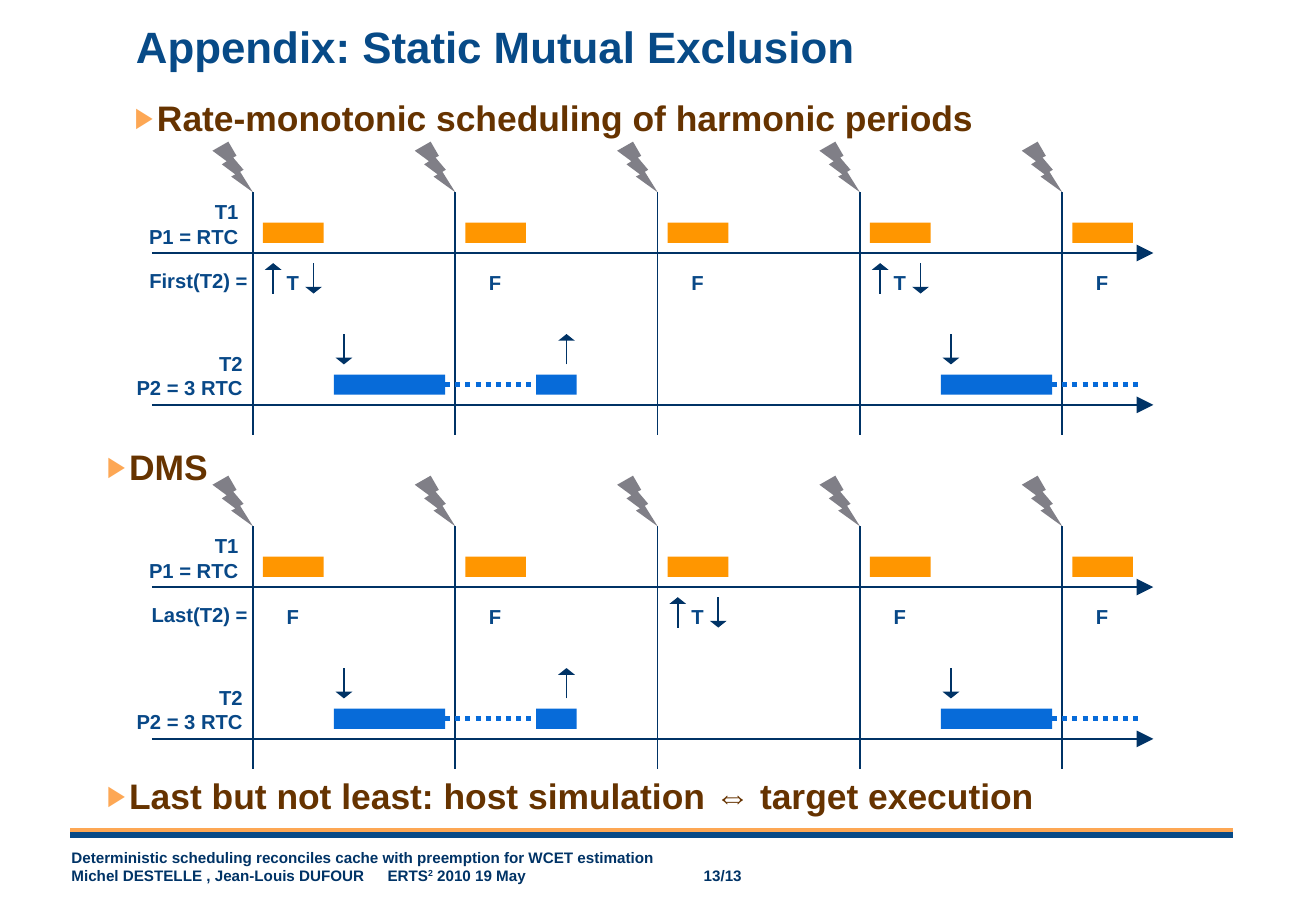
from lxml import etree
from pptx import Presentation
from pptx.dml.color import RGBColor
from pptx.enum.dml import MSO_LINE
from pptx.enum.shapes import MSO_CONNECTOR, MSO_SHAPE
from pptx.enum.text import MSO_ANCHOR, PP_ALIGN
from pptx.oxml.ns import qn
from pptx.util import Pt

STRAIGHT = MSO_CONNECTOR.STRAIGHT
RECTANGLE, BOLT = MSO_SHAPE.RECTANGLE, MSO_SHAPE.LIGHTNING_BOLT
LEFT, RIGHT = PP_ALIGN.LEFT, PP_ALIGN.RIGHT
TOP, MIDDLE = MSO_ANCHOR.TOP, MSO_ANCHOR.MIDDLE
DOTTED = MSO_LINE.ROUND_DOT

COLORS = {
    "title": "074A87", "heading": "663300", "accent": "FDA754", "ink": "003366",
    "label": "084887", "task1": "FF9600", "task2": "076BD9", "bolt": "807F87",
}
FONT = "Arial"

TITLE = "Appendix: Static Mutual Exclusion"
HEADINGS = [
    ("Rate-monotonic scheduling of harmonic periods", 53.5, 60),
    ("DMS", 260.5, 43.5),
    ("Last but not least: host simulation ⇔ target execution", 455.5, 43.5),
]
FOOTER = [
    [("Deterministic scheduling reconciles cache with preemption for WCET estimation", False)],
    [("Michel DESTELLE , Jean-Louis DUFOUR\tERTS", False), ("2", True),
     (" 2010 19 May\t13/13", False)],
]
FOOTER_TABS = (187.5, 375)
FOOTER_RULES = [(494.6, "title", 4.5), (491.8, "accent", 2.25)]

TIMELINES = [(84, "First(T2) =", "TFFTF"), (282, "Last(T2) =", "FFTFF")]
TASK_LABELS = [(["T1", "P1 = RTC"], 150, 30), (["T2", "P2 = 3 RTC"], 152.6, 120)]
FIRST_TICK, PERIOD = 150, 120
AXIS_START, AXIS_END = 90, 684
AXIS_OFFSETS = (66, 156)
TASK2_BARS = [(198, 66), (558, 66), (318, 24)]
TASK2_EVENTS = [(204, "down"), (336, "up"), (564, "down")]

deck = Presentation()
deck.slide_width, deck.slide_height = Pt(780.48), Pt(540)
slide = deck.slides.add_slide(deck.slide_layouts[6])
shapes = slide.shapes


def rgb(name):
    return RGBColor.from_string(COLORS[name])


def add_text(paragraphs, left, top, width, height, size, color,
             align=LEFT, anchor=TOP, insets=(7.2, 3.6, 7.2, 3.6)):
    """Add a bold text box from lists of (text, superscript) runs."""
    box = shapes.add_textbox(Pt(left), Pt(top), Pt(width), Pt(height))
    frame = box.text_frame
    frame.word_wrap, frame.vertical_anchor = True, anchor
    (frame.margin_left, frame.margin_top,
     frame.margin_right, frame.margin_bottom) = map(Pt, insets)
    for index, runs in enumerate(paragraphs):
        paragraph = frame.add_paragraph() if index else frame.paragraphs[0]
        paragraph.alignment = align
        for text, superscript in runs:
            run = paragraph.add_run()
            run.text = text
            run.font.name, run.font.size, run.font.bold = FONT, Pt(size), True
            run.font.color.rgb = rgb(color)
            if superscript:
                run.font._element.set("baseline", "30000")
    return frame.paragraphs


def add_label(lines, right, top, width, height):
    add_text([[(line, False)] for line in lines], right - width, top, width, height,
             12, "label", RIGHT, insets=(0, 4.32, 8.64, 4.32))


def add_heading(text, top, indent):
    paragraph = add_text([[(text, False)]], 26, top, 705, 39, 21, "heading")[0]
    properties = paragraph._p.get_or_add_pPr()
    properties.set("marL", str(Pt(indent)))
    properties.set("indent", str(-Pt(13.2)))
    bullet_color = etree.SubElement(properties, qn("a:buClr"))
    etree.SubElement(bullet_color, qn("a:srgbClr"), val=COLORS["accent"])
    etree.SubElement(properties, qn("a:buSzPct"), val="80000")
    etree.SubElement(properties, qn("a:buFont"), typeface=FONT)
    etree.SubElement(properties, qn("a:buChar"), char="▶")


def add_line(x1, y1, x2, y2, color="ink", width=1, head_length=None):
    line = shapes.add_connector(STRAIGHT, Pt(x1), Pt(y1), Pt(x2), Pt(y2))
    line.line.color.rgb, line.line.width = rgb(color), Pt(width)
    if head_length:
        etree.SubElement(line.line._get_or_add_ln(), qn("a:tailEnd"),
                         type="triangle", w="lg", len=head_length)
    etree.SubElement(line._element.spPr, qn("a:effectLst"))
    return line


def add_event(x, top, direction):
    start, end = (top, top + 18) if direction == "down" else (top + 18, top)
    add_line(x, start, x, end, head_length="sm")


def add_block(kind, left, top, width, height, color):
    block = shapes.add_shape(kind, Pt(left), Pt(top), Pt(width), Pt(height))
    block.shadow.inherit = False
    block.fill.solid()
    block.fill.fore_color.rgb = rgb(color)
    block.line.fill.background()
    return block


def add_timeline(top, flag_label, flags):
    for offset in AXIS_OFFSETS:
        add_line(AXIS_START, top + offset, AXIS_END, top + offset, head_length="lg")
    for index, flag in enumerate(flags):
        tick = FIRST_TICK + index * PERIOD
        add_line(tick, top + 30, tick, top + 174)
        add_block(BOLT, tick - 24, top, 24, 30, "bolt")
        add_block(RECTANGLE, tick + 6, top + 48, 36, 12, "task1")
        add_label([flag], tick + 36, top + 72, 24.5, 23)
        if flag == "T":
            add_event(tick + 12, top + 72, "up")
            add_event(tick + 36, top + 72, "down")
    first_run, next_run, resumed_run = [
        add_block(RECTANGLE, left, top + 138, width, 12, "task2")
        for left, width in TASK2_BARS]
    for bar, resume_x, resumed in ((first_run, 318, resumed_run), (next_run, 678, None)):
        pause = add_line(resume_x - 54, top + 144, resume_x, top + 144, "task2", 3)
        pause.line.dash_style = DOTTED
        pause.begin_connect(bar, 3)
        if resumed:
            pause.end_connect(resumed, 1)
    for x, direction in TASK2_EVENTS:
        add_event(x, top + 114, direction)
    for lines, right, offset in TASK_LABELS:
        add_label(lines, right, top + offset, 90, 37)
    add_label([flag_label], 155.5, top + 71, 90, 23)


for rule_y, rule_color, rule_width in FOOTER_RULES:
    add_line(41.8, rule_y, 731.5, rule_y, rule_color, rule_width)
footer_lines = add_text(FOOTER, 35.3, 499, 541, 29.5, 9, "ink")
tab_list = etree.SubElement(footer_lines[1]._p.get_or_add_pPr(), qn("a:tabLst"))
for position in FOOTER_TABS:
    etree.SubElement(tab_list, qn("a:tab"), pos=str(Pt(position)), algn="l")

add_text([[(TITLE, False)]], 73.5, 12.5, 677.5, 30, 26, "title", anchor=MIDDLE)
for heading in HEADINGS:
    add_heading(*heading)
for timeline in TIMELINES:
    add_timeline(*timeline)

deck.save("out.pptx")
